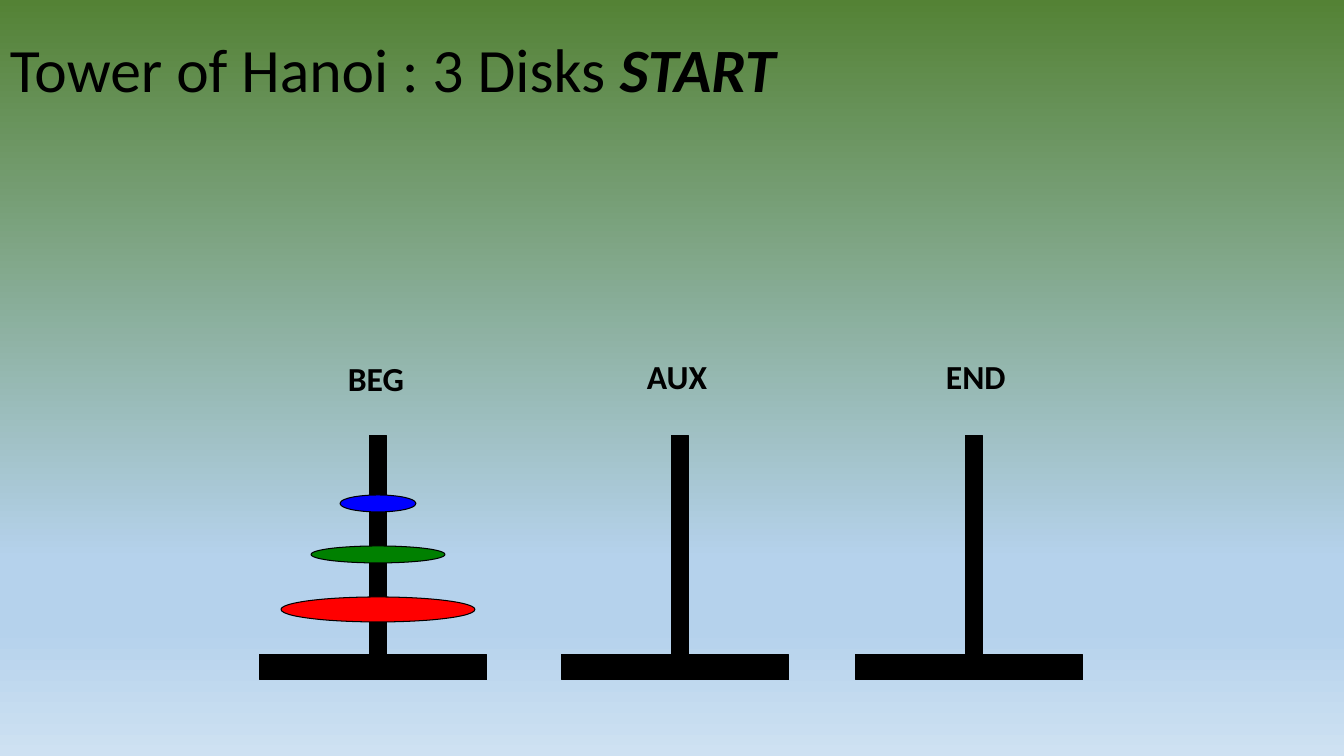
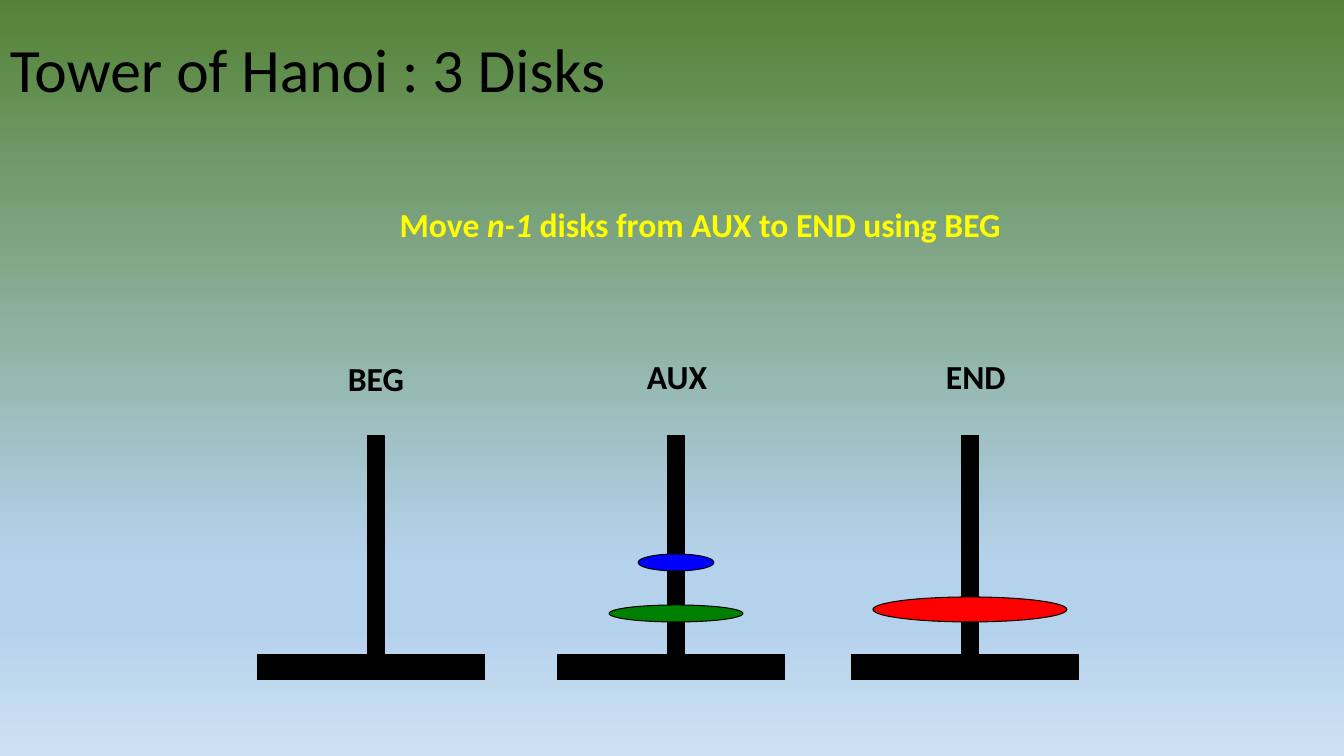
from dataclasses import dataclass

from lxml import etree
from pptx import Presentation
from pptx.dml.color import RGBColor
from pptx.enum.shapes import MSO_SHAPE
from pptx.enum.text import MSO_ANCHOR, PP_ALIGN
from pptx.oxml.ns import qn
from pptx.util import Emu, Pt

RECTANGLE = MSO_SHAPE.RECTANGLE
OVAL = MSO_SHAPE.OVAL
LEFT = PP_ALIGN.LEFT
CENTER = PP_ALIGN.CENTER
TOP = MSO_ANCHOR.TOP
MIDDLE = MSO_ANCHOR.MIDDLE

SLIDE_WIDTH, SLIDE_HEIGHT = 1344, 756
EMU_PER_PX = 12192000 / SLIDE_WIDTH


@dataclass(frozen=True)
class Theme:
    font: str = "Calibri"
    title_size: int = 44
    body_size: int = 24
    outline_width: float = 0.75
    ink: str = "000000"
    caption: str = "FFFF00"
    background: tuple = ((0, "548235"), (74, "B5D2EC"), (83, "B5D2EC"), (100, "CEE1F2"))


@dataclass(frozen=True)
class Disk:
    width: int
    height: int
    color: str


LARGE = Disk(194, 25, "FF0000")
MEDIUM = Disk(134, 17, "008000")
SMALL = Disk(76, 17, "0000FF")

BASE_WIDTH, BASE_HEIGHT, BASE_TOP = 227, 25, 655
POLE_WIDTH, POLE_TOP = 17, 436
POLE_OFFSET = 118  # from the left end of the base to the middle of the pole
STACK_BOTTOM, DISK_GAP = 622, 34

LABEL_LEFT, LABEL_PITCH = 338, 299
TOWER_LABELS = (("BEG", 353, 77), ("AUX", 351, 87), ("END", 351, 93))


def px(length):
    return Emu(round(length * EMU_PER_PX))


def add_run(paragraph, content, *, font, size, color, bold=False, italic=False):
    run = paragraph.add_run()
    run.text = content
    run.font.name = font
    run.font.size = Pt(size)
    run.font.bold = bold
    run.font.italic = italic
    run.font.color.rgb = RGBColor.from_string(color)


class HanoiDeck:
    def __init__(self, theme):
        self.theme = theme
        self.presentation = Presentation()
        self.presentation.slide_width = px(SLIDE_WIDTH)
        self.presentation.slide_height = px(SLIDE_HEIGHT)
        self.slide = None

    def new_slide(self):
        blank_layout = self.presentation.slide_layouts[6]
        self.slide = self.presentation.slides.add_slide(blank_layout)
        self.background()

    def background(self):
        """Fill the slide with the theme's gradient, from top to bottom."""
        fill = self.slide.background.fill
        fill.gradient()
        fill.gradient_angle = 270
        stops = self.slide.element.find(".//" + qn("a:gsLst"))
        for default_stop in list(stops):
            stops.remove(default_stop)
        for percent, color in self.theme.background:
            stop = etree.SubElement(stops, qn("a:gs"), pos=str(percent * 1000))
            etree.SubElement(stop, qn("a:srgbClr"), val=color)

    def text(self, left, top, width, height, *runs, align=LEFT, anchor=TOP,
             line_spacing=None, **style):
        """Add a text box; each run is a pair of its text and its own format."""
        box = self.slide.shapes.add_textbox(px(left), px(top), px(width), px(height))
        frame = box.text_frame
        frame.word_wrap = True
        frame.vertical_anchor = anchor
        paragraph = frame.paragraphs[0]
        paragraph.alignment = align
        paragraph.line_spacing = line_spacing
        defaults = {"font": self.theme.font, "size": self.theme.body_size,
                    "color": self.theme.ink}
        for content, emphasis in runs:
            add_run(paragraph, content, **{**defaults, **style, **emphasis})

    def title(self, *runs):
        self.text(0, 0, SLIDE_WIDTH, 146, *runs, anchor=MIDDLE, line_spacing=0.9,
                  size=self.theme.title_size)

    def caption(self, *runs):
        self.text(324, 199, 760, 50, *runs, align=CENTER, bold=True,
                  color=self.theme.caption)

    def tower_labels(self):
        for index, (name, top, width) in enumerate(TOWER_LABELS):
            self.text(LABEL_LEFT + index * LABEL_PITCH, top, width, 50, (name, {}),
                      bold=True)

    def solid(self, shapes, preset, left, top, width, height, color):
        part = shapes.add_shape(preset, px(left), px(top), px(width), px(height))
        part.shadow.inherit = False
        part.fill.solid()
        part.fill.fore_color.rgb = RGBColor.from_string(color)
        part.line.color.rgb = RGBColor.from_string(self.theme.ink)
        part.line.width = Pt(self.theme.outline_width)

    def tower(self, pole_center, disks):
        """Draw a base, its pole and the disks on it, listed from the bottom up."""
        parts = self.slide.shapes.add_group_shape().shapes
        self.solid(parts, RECTANGLE, pole_center - POLE_OFFSET, BASE_TOP,
                   BASE_WIDTH, BASE_HEIGHT, self.theme.ink)
        self.solid(parts, RECTANGLE, pole_center - POLE_WIDTH / 2, POLE_TOP,
                   POLE_WIDTH, BASE_TOP - POLE_TOP, self.theme.ink)
        bottom = STACK_BOTTOM
        for disk in disks:
            top = bottom - disk.height
            self.solid(parts, OVAL, pole_center - disk.width / 2, top,
                       disk.width, disk.height, disk.color)
            bottom = top - DISK_GAP

    def towers(self, stacks):
        for pole_center, disks in stacks.items():
            self.tower(pole_center, disks)
        self.tower_labels()


def main():
    deck = HanoiDeck(Theme())

    deck.new_slide()
    deck.title(("Tower of Hanoi : 3 Disks ", {}), ("START", {"bold": True, "italic": True}))
    deck.towers({378: (LARGE, MEDIUM, SMALL), 680: (), 974: ()})

    deck.new_slide()
    deck.title(("Tower of Hanoi : 3 Disks", {}))
    deck.towers({376: (), 676: (MEDIUM, SMALL), 970: (LARGE,)})
    deck.caption(("Move ", {}), ("n-1", {"italic": True}),
                 (" disks from AUX to END using BEG ", {}))

    deck.presentation.save("out.pptx")


if __name__ == "__main__":
    main()
